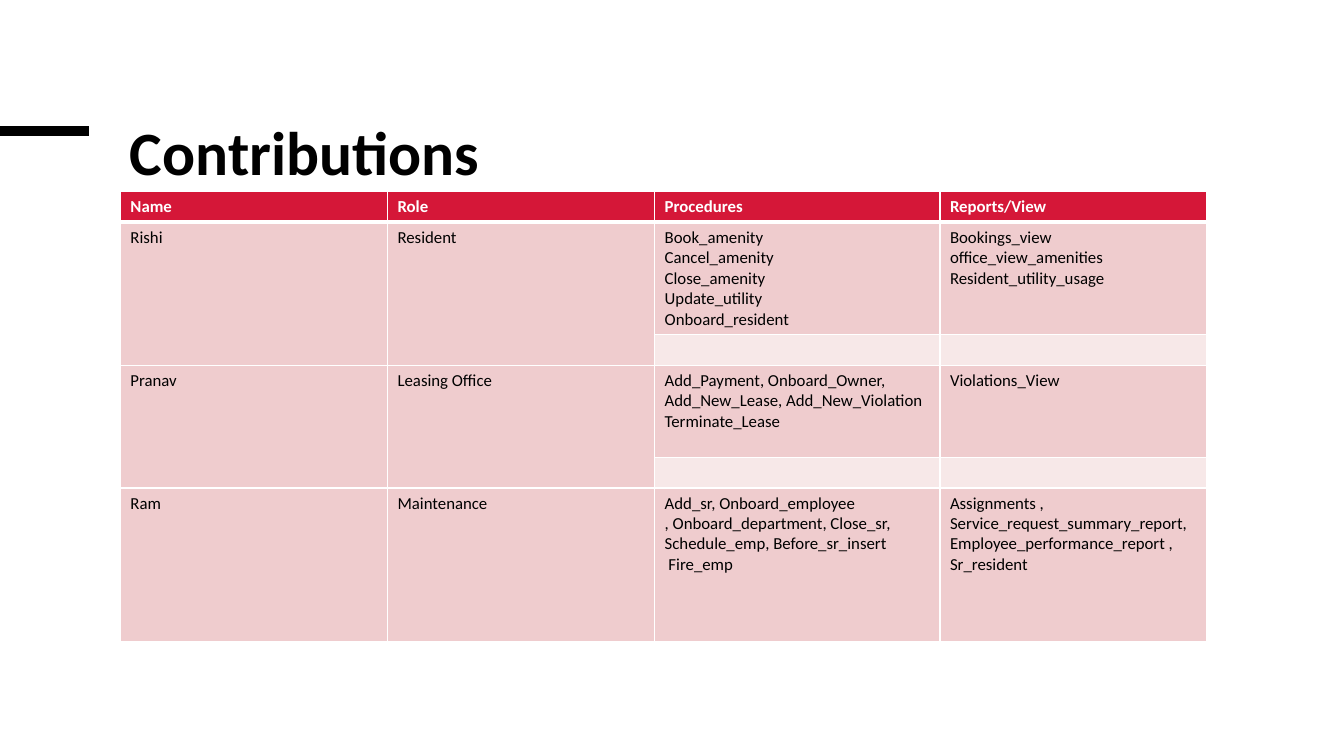
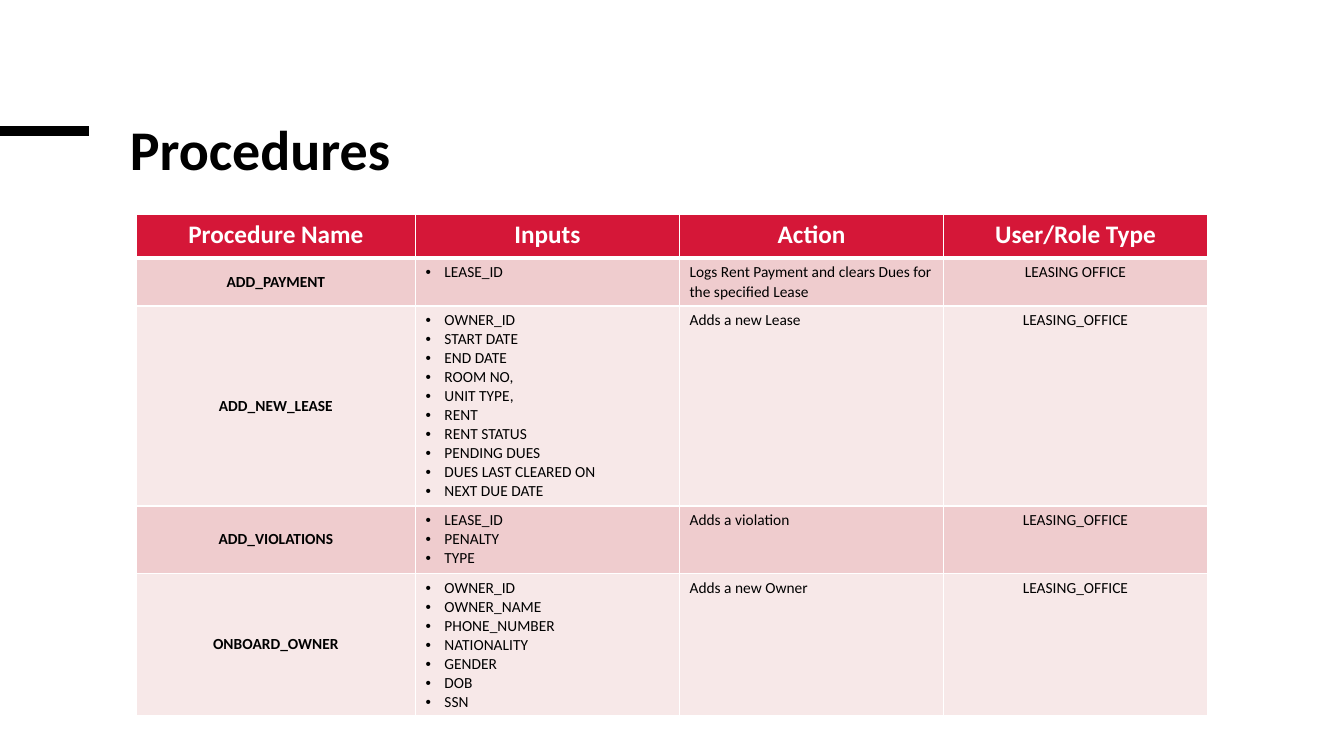
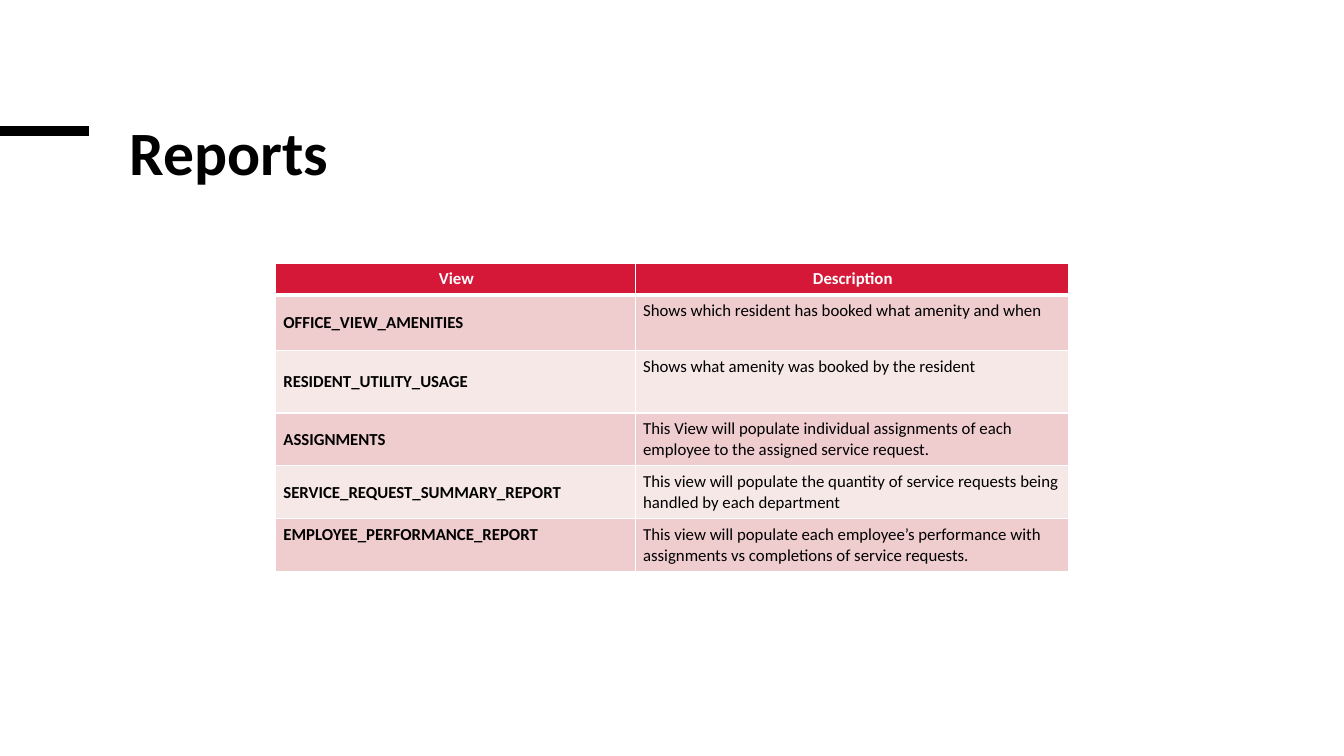
from lxml import etree
from pptx import Presentation
from pptx.dml.color import RGBColor
from pptx.enum.shapes import MSO_CONNECTOR
from pptx.enum.text import MSO_ANCHOR, PP_ALIGN
from pptx.oxml.ns import qn
from pptx.util import Pt

STRAIGHT = MSO_CONNECTOR.STRAIGHT
TOP, MIDDLE = MSO_ANCHOR.TOP, MSO_ANCHOR.MIDDLE
LEFT, CENTER = PP_ALIGN.LEFT, PP_ALIGN.CENTER

FONT = "Calibri"
BLACK, WHITE, RED = "000000", "FFFFFF", "D51738"
BANDS = ("F7E8E8", "EFCCCE")  # even rows, odd rows
BULLET_INDENT = 13.5


def rgb(value):
    """Turn a hex string into a colour."""
    return RGBColor.from_string(value)


def set_bullet(p):
    """Give a paragraph a hanging round bullet."""
    pPr = p._p.get_or_add_pPr()
    pPr.set("marL", str(Pt(BULLET_INDENT)))
    pPr.set("indent", str(Pt(-BULLET_INDENT)))
    etree.SubElement(pPr, qn("a:buFont")).set("typeface", "Arial")
    etree.SubElement(pPr, qn("a:buChar")).set("char", "•")


def set_borders(cell, top, bottom):
    """Draw white cell borders, 1 pt at the sides."""
    tcPr = cell._tc.get_or_add_tcPr()
    for side, width in (("L", 1), ("R", 1), ("T", top), ("B", bottom)):
        ln = etree.SubElement(tcPr, qn(f"a:ln{side}"), w=str(Pt(width)))
        fill = etree.SubElement(ln, qn("a:solidFill"))
        etree.SubElement(fill, qn("a:srgbClr"), val=WHITE)


class Deck:
    """Holds the presentation, its style and the current slide."""

    def __init__(self):
        """Start a wide presentation."""
        self.prs = Presentation()
        self.prs.slide_width, self.prs.slide_height = Pt(960), Pt(540)
        self.s = None

    def slide(self, title, size=44):
        """Add a slide with the accent bar and a title."""
        self.s = self.prs.slides.add_slide(self.prs.slide_layouts[6])
        self.bar()
        sp = self.s.shapes.add_textbox(Pt(85.7), Pt(85.7), Pt(781.2), Pt(102.2))
        tf = sp.text_frame
        tf.word_wrap = True
        self.text(tf, title, size, BLACK, bold=True)
        tf.paragraphs[0].line_spacing = 0.85

    def bar(self):
        """Draw the thick bar at the left edge."""
        sp = self.s.shapes.add_connector(STRAIGHT, 0, Pt(93.6), Pt(63.4), Pt(93.6))
        sp.line.color.rgb = rgb(BLACK)
        sp.line.width = Pt(6.75)
        etree.SubElement(sp._element.spPr, qn("a:effectLst"))

    def text(self, tf, text, size, color, bold=False, align=LEFT, bullet=False):
        """Fill a text frame with one paragraph per line of text."""
        for i, line in enumerate(text.split("\n")):
            p = tf.add_paragraph() if i else tf.paragraphs[0]
            p.alignment = align
            if not line:
                etree.SubElement(p._p, qn("a:endParaRPr"), sz=str(size * 100))
                continue
            if bullet:
                set_bullet(p)
            r = p.add_run()
            r.text = line
            style = {"name": FONT, "size": Pt(size), "bold": bold}
            for key, value in style.items():
                setattr(r.font, key, value)
            r.font.color.rgb = rgb(color)

    def table(self, left, top, widths, heights, rows, formats, size=12,
              head_size=12, head_align=CENTER, cell_style=None):
        """Add a banded table; formats holds the text style of each column."""
        frame = self.s.shapes.add_table(len(rows), len(widths), Pt(left), Pt(top),
                                        Pt(sum(widths)), Pt(sum(heights)))
        table = frame.table
        for column, width in zip(table.columns, widths):
            column.width = Pt(width)
        for i, (row, height) in enumerate(zip(rows, heights)):
            table.rows[i].height = Pt(height)
            for j, text in enumerate(row):
                cell = table.cell(i, j)
                for key, value in (cell_style or {}).items():
                    setattr(cell, key, value)
                set_borders(cell, 3 if i == 1 else 1, 1 if i else 3)
                cell.fill.solid()
                cell.fill.fore_color.rgb = rgb(BANDS[i % 2] if i else RED)
                if i == 0:
                    self.text(cell.text_frame, text, head_size, WHITE, True, head_align)
                    continue
                style = dict(formats[j])
                cell.vertical_anchor = style.pop("anchor", TOP)
                self.text(cell.text_frame, text, size, BLACK, **style)
        return table


def contributions(deck):
    """Build the slide on who did what."""
    deck.slide("Contributions")
    rows = [
        ("Name", "Role", "Procedures", "Reports/View"),
        ("Rishi", "Resident",
         "Book_amenity\nCancel_amenity\nClose_amenity\nUpdate_utility\nOnboard_resident",
         "Bookings_view\noffice_view_amenities\nResident_utility_usage"),
        ("",) * 4,
        ("Pranav", "Leasing Office",
         "Add_Payment, Onboard_Owner, Add_New_Lease, Add_New_Violation Terminate_Lease",
         "Violations_View"),
        ("",) * 4,
        ("Ram", "Maintenance",
         "Add_sr, Onboard_employee\n"
         ", Onboard_department, Close_sr, Schedule_emp, Before_sr_insert\n Fire_emp",
         "Assignments\u00a0, Service_request_summary_report, "
         "Employee_performance_report\u00a0, Sr_resident"),
    ]
    table = deck.table(86, 137, (190.8, 190.8, 203.8, 190.8),
                       (21.8, 80.4, 21.8, 65.8, 21.8, 109.6),
                       rows, [{}] * 4, head_align=LEFT)
    for i in (1, 3):
        for j in (0, 1):
            table.cell(i, j).merge(table.cell(i + 1, j))


def procedures(deck):
    """Build the slide on stored procedures."""
    deck.slide("Procedures", 40)
    rows = [
        ("Procedure Name", "Inputs", "Action", "User/Role Type"),
        ("ADD_PAYMENT", "LEASE_ID",
         "Logs Rent Payment and clears Dues for the specified Lease", "LEASING OFFICE"),
        ("ADD_NEW_LEASE",
         "OWNER_ID\nSTART DATE\nEND DATE\nROOM NO,\nUNIT TYPE,\nRENT\nRENT STATUS\n"
         "PENDING DUES\nDUES LAST CLEARED ON\nNEXT DUE DATE",
         "Adds a new Lease", "LEASING_OFFICE"),
        ("ADD_VIOLATIONS", "LEASE_ID\nPENALTY\nTYPE", "Adds a violation",
         "LEASING_OFFICE"),
        ("ONBOARD_OWNER",
         "OWNER_ID\nOWNER_NAME\nPHONE_NUMBER\nNATIONALITY\nGENDER\nDOB\nSSN",
         "Adds a new Owner", "LEASING_OFFICE"),
    ]
    formats = [{"bold": True, "align": CENTER, "anchor": MIDDLE}, {"bullet": True},
               {}, {"align": CENTER}]
    deck.table(97.4, 153.4, (199.4, 188.6, 188.6, 188.6),
               (31, 34.2, 142.8, 48.2, 101.8), rows, formats, size=11, head_size=18)


def reports(deck):
    """Build the slide on report views."""
    deck.slide("Reports")
    rows = [
        ("View", "Description"),
        ("OFFICE_VIEW_AMENITIES", "Shows which resident has booked what amenity and when"),
        ("RESIDENT_UTILITY_USAGE", "Shows what amenity was booked by the resident"),
        ("ASSIGNMENTS", "This View will populate individual assignments of each "
         "employee to the assigned service request."),
        ("SERVICE_REQUEST_SUMMARY_REPORT", "This view will populate the quantity of "
         "service requests being handled by each department"),
        ("EMPLOYEE_PERFORMANCE_REPORT", "This view will populate each employee’s "
         "performance with assignments vs completions of service requests."),
    ]
    margins = {"margin_left": Pt(5.6), "margin_right": Pt(4.2), "margin_top": Pt(4.2),
               "margin_bottom": Pt(4.2), "vertical_anchor": MIDDLE}
    table = deck.table(196.8, 187.8, (257, 309.4), (23, 39.6, 44.6, 37.8, 37.8, 37.8),
                       rows, [{"bold": True, "anchor": MIDDLE}, {}], cell_style=margins)
    table.cell(5, 0).vertical_anchor = TOP


deck = Deck()
for build in (contributions, procedures, reports):
    build(deck)
deck.prs.save("out.pptx")
